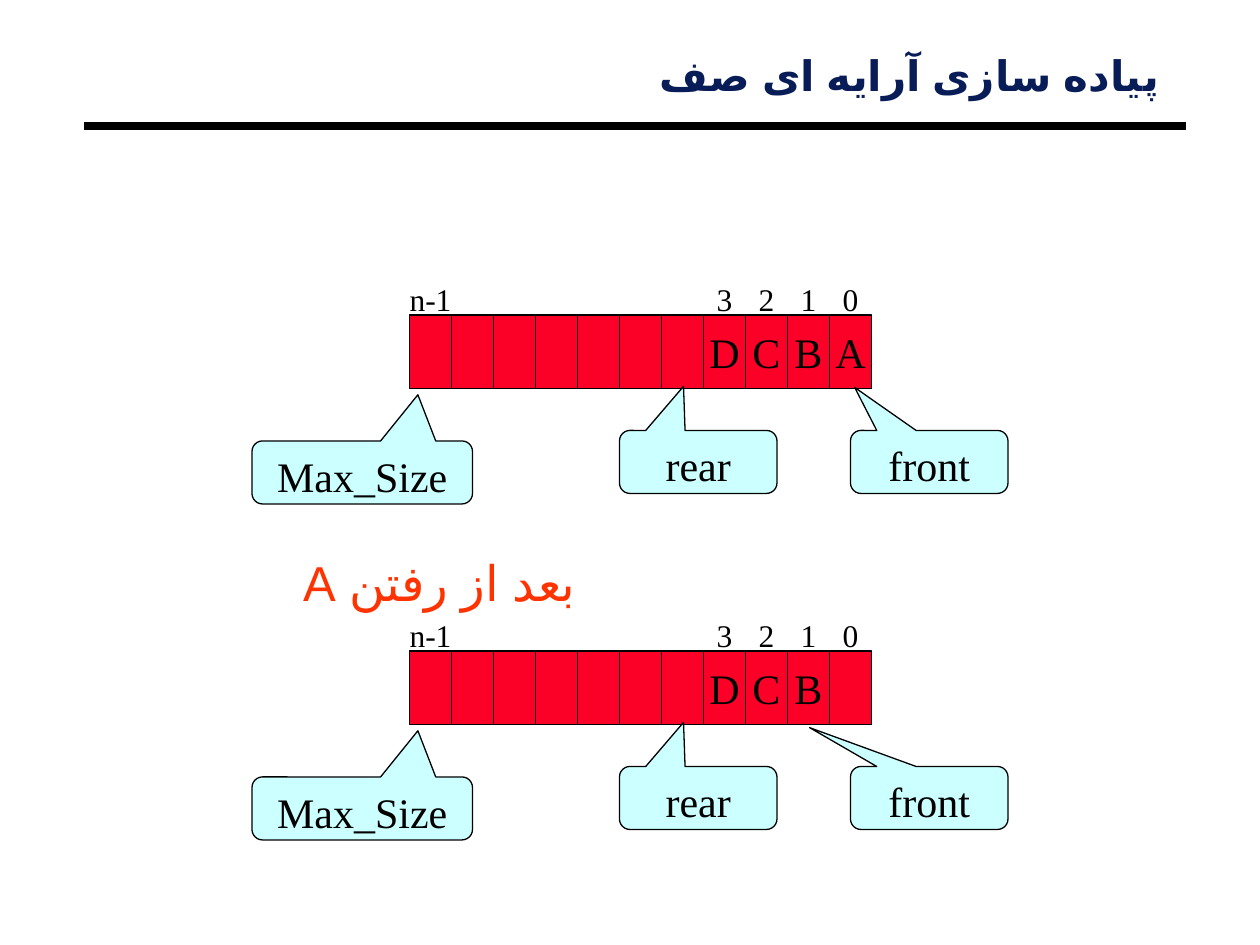
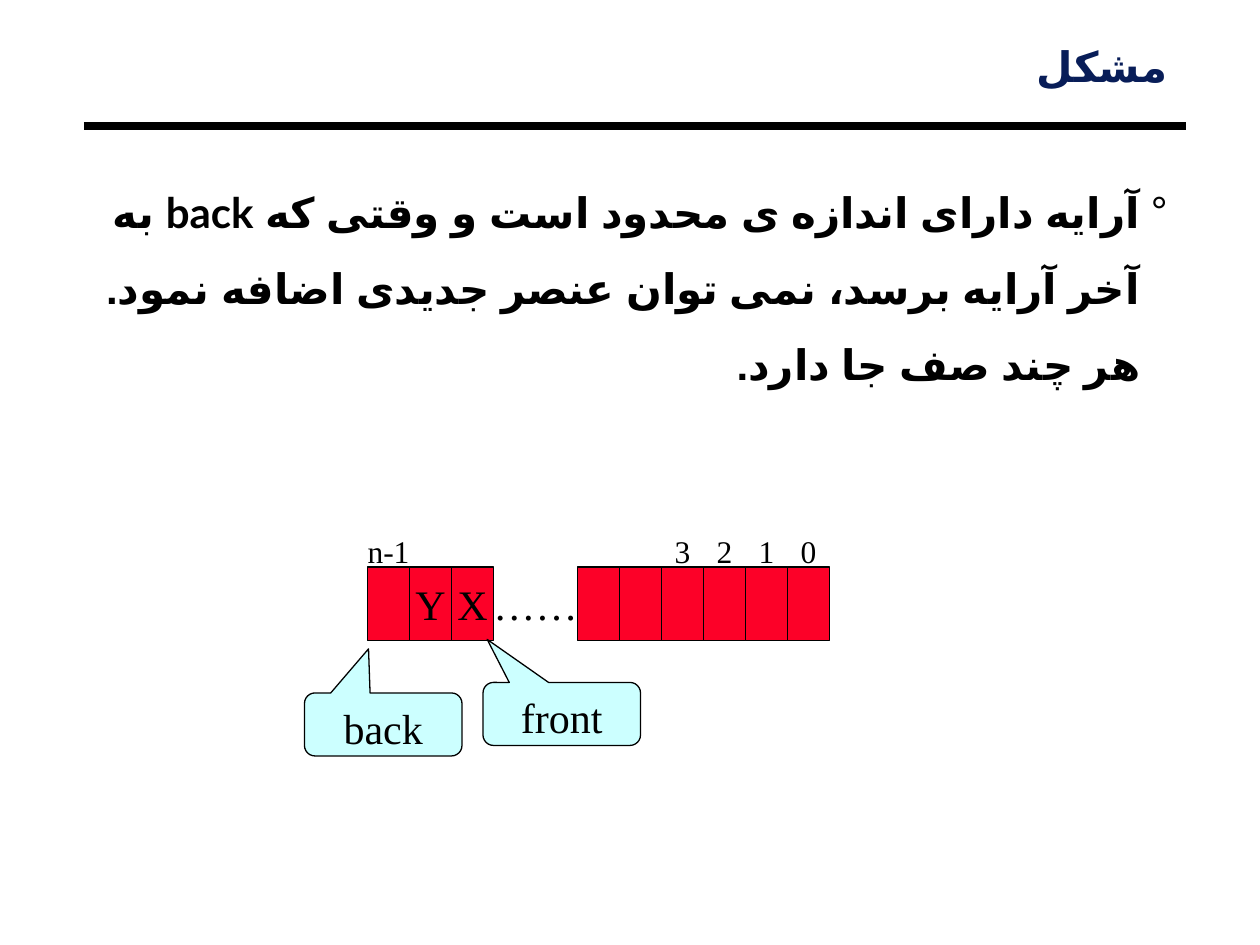
from lxml import etree
from pptx import Presentation
from pptx.dml.color import RGBColor
from pptx.enum.shapes import MSO_CONNECTOR, MSO_SHAPE
from pptx.enum.text import MSO_ANCHOR, MSO_AUTO_SIZE, PP_ALIGN
from pptx.oxml.ns import qn
from pptx.util import Emu, Pt

STRAIGHT = MSO_CONNECTOR.STRAIGHT
RECTANGLE = MSO_SHAPE.RECTANGLE
CALLOUT = MSO_SHAPE.ROUNDED_RECTANGULAR_CALLOUT
TOP, MIDDLE = MSO_ANCHOR.TOP, MSO_ANCHOR.MIDDLE
GROW = MSO_AUTO_SIZE.SHAPE_TO_FIT_TEXT
CENTER, RIGHT = PP_ALIGN.CENTER, PP_ALIGN.RIGHT

EMU_PER_PX = 7620
BLACK, NAVY, ORANGE = "000000", "081D58", "FF3300"
CELL_RED, CALLOUT_BLUE = "FC0128", "CCFFFF"
SANS, SERIF, BODY_FONT = "Arial", "Times New Roman", "Lato"
CELL_WIDTH, CELL_HEIGHT, INDEX_HEIGHT = 40, 70, 30
CALLOUT_HEIGHT = 60
LABEL_OVERHANG = 2
COLUMN_INDEXES = {0: "n-1", 7: "3", 8: "2", 9: "1", 10: "0"}
GAP = "…"
WIDE_INSETS, NARROW_INSETS, NO_INSETS = (12, 6), (8, 4), (0, 0)


def px(length):
    """Turn px into EMU."""
    return Emu(round(length * EMU_PER_PX))


def color(hex_string):
    """Turn a hex string into a colour."""
    return RGBColor.from_string(hex_string)


def write(shape, text, size, font=SERIF, ink=BLACK, bold=False, align=CENTER,
          anchor=MIDDLE, wrap=False, insets=WIDE_INSETS, rtl=False,
          spacing=None, bullet=None):
    """Put one styled paragraph into a shape."""
    frame = shape.text_frame
    frame.word_wrap = wrap
    frame.vertical_anchor = anchor
    frame.margin_left = frame.margin_right = px(insets[0])
    frame.margin_top = frame.margin_bottom = px(insets[1])
    paragraph = frame.paragraphs[0]
    paragraph.text = text
    paragraph.alignment = align
    paragraph.line_spacing = spacing
    if bullet:
        add_bullet(paragraph, bullet, 26)
    paragraph.font.size = Pt(size)
    paragraph.font.name = font
    paragraph.font.bold = bold
    paragraph.font.color.rgb = color(ink)
    if rtl:
        set_persian(paragraph)


def set_persian(paragraph):
    """Make a paragraph run right to left in a Persian font."""
    properties = paragraph._p.get_or_add_pPr()
    properties.set("rtl", "1")
    defaults = properties.find(qn("a:defRPr"))
    defaults.set("lang", "fa-IR")
    etree.SubElement(defaults, qn("a:cs")).set("typeface", SANS)


def add_bullet(paragraph, character, indent):
    """Give a paragraph a black hanging bullet."""
    properties = paragraph._p.get_or_add_pPr()
    properties.set("marL", str(px(indent)))
    properties.set("indent", str(px(-indent)))
    bullet_color = etree.SubElement(properties, qn("a:buClr"))
    etree.SubElement(bullet_color, qn("a:srgbClr")).set("val", BLACK)
    etree.SubElement(properties, qn("a:buFont")).set("typeface", SANS)
    etree.SubElement(properties, qn("a:buChar")).set("char", character)


def add_text(slide, box, text, size, **style):
    """Add a text box."""
    shape = slide.shapes.add_textbox(*map(px, box))
    write(shape, text, size, **style)
    return shape


def add_column_label(slide, box, text, size):
    """Add a label slightly wider than its column, so that it stays on one line."""
    left, top, width, height = box
    wide_box = (left - LABEL_OVERHANG, top, width + 2 * LABEL_OVERHANG, height)
    add_text(slide, wide_box, text, size, insets=NO_INSETS)


def add_filled_shape(slide, kind, box, fill):
    """Add a preset shape with a thin black outline."""
    shape = slide.shapes.add_shape(kind, *map(px, box))
    shape.shadow.inherit = False
    shape.fill.solid()
    shape.fill.fore_color.rgb = color(fill)
    shape.line.color.rgb = color(BLACK)
    shape.line.width = Pt(0.75)
    return shape


def add_titled_slide(presentation, title, title_box):
    """Add a blank slide with a title and the rule below it."""
    slide = presentation.slides.add_slide(presentation.slide_layouts[6])
    rule = slide.shapes.add_connector(STRAIGHT, px(80), px(120), px(1130), px(120))
    rule.line.color.rgb = color(BLACK)
    rule.line.width = Pt(4.5)
    etree.SubElement(rule._element.spPr, qn("a:effectLst"))
    title_shape = add_text(slide, title_box, title, 24, font=SANS, ink=NAVY, bold=True,
                           align=RIGHT, anchor=TOP, wrap=True,
                           insets=NARROW_INSETS, rtl=True, spacing=0.87)
    title_shape.text_frame.auto_size = GROW
    return slide


def add_callout(slide, box, tip, label):
    """Add a labelled callout whose pointer ends at the tip."""
    left, top, width, height = box
    callout = add_filled_shape(slide, CALLOUT, box, CALLOUT_BLUE)
    callout.adjustments[0] = (tip[0] - left) / width - 0.5
    callout.adjustments[1] = (tip[1] - top) / height - 0.5
    write(callout, label, 24, anchor=TOP, wrap=True)


def draw_queue(slide, left, top, cells, callouts):
    """Draw an array of cells with its indexes and callouts."""
    for column, item in enumerate(cells):
        box = (left + column * CELL_WIDTH, top, CELL_WIDTH, CELL_HEIGHT)
        if item == GAP:
            add_column_label(slide, box, item, 24)
            continue
        cell = add_filled_shape(slide, RECTANGLE, box, CELL_RED)
        if item:
            write(cell, item, 24)
    for label, x, y, width, tip_x, tip_y in callouts:
        add_callout(slide, (left + x, top + y, width, CALLOUT_HEIGHT),
                    (left + tip_x, top + tip_y), label)
    for column, index in COLUMN_INDEXES.items():
        box = (left + column * CELL_WIDTH, top - INDEX_HEIGHT, CELL_WIDTH, INDEX_HEIGHT)
        add_column_label(slide, box, index, 18)


def build_array_slide(presentation):
    """Show the queue before and after A leaves."""
    slide = add_titled_slide(presentation, "پیاده سازی آرایه ای صف", (500, 50, 612, 50))
    shared_callouts = [("Max_Size", -150, 120, 210, 8, 76), ("rear", 200, 110, 150, 261, 68)]
    shared_cells = [""] * 7 + ["D", "C", "B"]
    states = [(300, "A", (424, 69)), (620, "", (381, 73))]
    for top, first_item, front_tip in states:
        draw_queue(slide, 390, top, shared_cells + [first_item],
                   shared_callouts + [("front", 420, 110, 150, *front_tip)])
    caption = add_text(slide, (110, 520, 450, 68), "بعد از رفتن A", 28, font=SANS, ink=ORANGE,
                       align=RIGHT, anchor=TOP, wrap=True, rtl=True)
    caption.text_frame.auto_size = GROW


def build_problem_slide(presentation):
    """Show the queue that has reached the end of its array."""
    slide = add_titled_slide(presentation, "مشکل", (80, 41, 1040, 50))
    statement = ("آرایه دارای اندازه ی محدود است و وقتی که back به آخر آرایه برسد، "
                 "نمی توان عنصر جدیدی اضافه نمود. هر چند صف جا دارد.")
    add_text(slide, (90, 150, 1030, 223), statement, 24, font=BODY_FONT, bold=True,
             align=RIGHT, anchor=TOP, wrap=True, insets=NARROW_INSETS, rtl=True,
             spacing=1.5, bullet="°")
    draw_queue(slide, 350, 540, ["", "Y", "X", GAP, GAP] + [""] * 6,
               [("back", -60, 120, 150, 1, 78), ("front", 110, 110, 150, 114, 69)])


def main():
    """Build and save the presentation."""
    presentation = Presentation()
    presentation.slide_width, presentation.slide_height = px(1200), px(900)
    build_array_slide(presentation)
    build_problem_slide(presentation)
    presentation.save("out.pptx")


if __name__ == "__main__":
    main()
